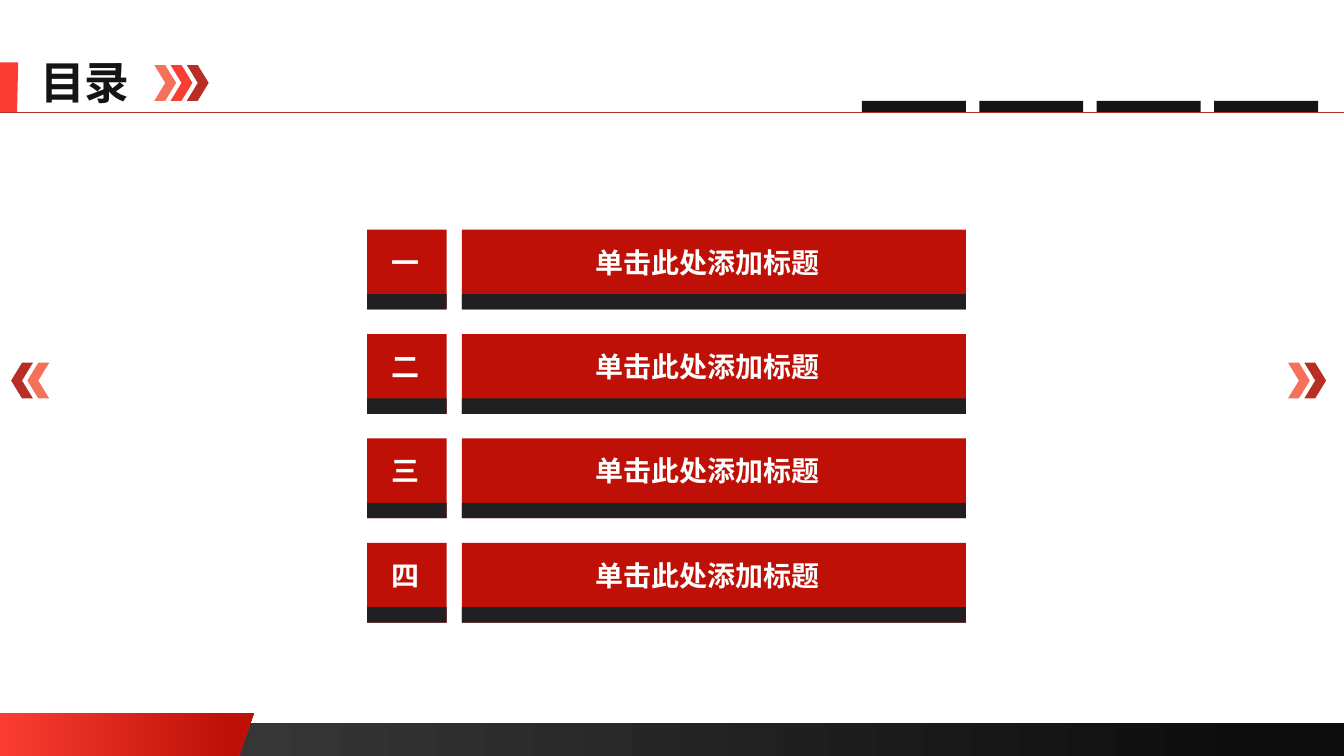
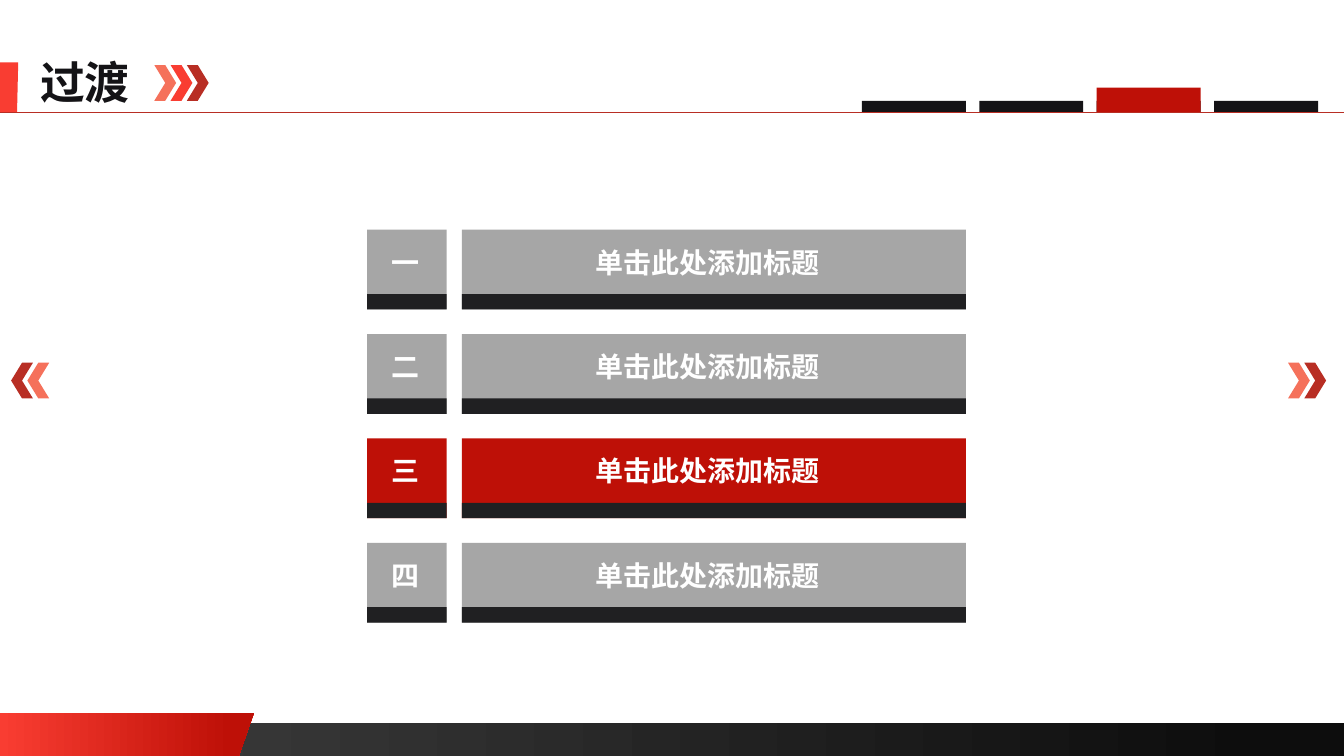
import pptx
import pptx.dml.color
import pptx.enum.shapes
import pptx.enum.text
import pptx.oxml
import pptx.oxml.ns
import pptx.util

Cm = pptx.util.Cm
RGB = pptx.dml.color.RGBColor
SHAPE = pptx.enum.shapes.MSO_SHAPE
ALIGN = pptx.enum.text.PP_ALIGN

ITEMS = [
    ("一", "单击此处添加标题"),
    ("二", "单击此处添加标题"),
    ("三", "单击此处添加标题"),
    ("四", "单击此处添加标题"),
]
# Title and index of the current item (None: all items are lit)
PAGES = [("目录", None), ("过渡", 2)]

FONT = "Noto Sans CJK SC"
WHITE = RGB(0xFF, 0xFF, 0xFF)
INK = RGB(0x14, 0x13, 0x16)
EDGE = RGB(0x20, 0x20, 0x22)
GREY = RGB(0xA6, 0xA6, 0xA6)
RED = RGB(0xBE, 0x10, 0x07)
BRIGHT = RGB(0xF9, 0x3D, 0x32)
CORAL = RGB(0xF5, 0x71, 0x5B)
BRICK = RGB(0xB8, 0x2E, 0x24)
COAL = RGB(0x40, 0x40, 0x40)
BLACK = RGB(0x0D, 0x0D, 0x0D)

WIDE, HIGH = 33.87, 19.05
RULE = 2.82                      # height of the line under the title
TAB_X, TAB_STEP, TAB_W = 21.72, 2.96, 2.62
TAB_H, TAB_TALL = 0.28, 0.61
ROW_Y, ROW_STEP, ROW_H, EDGE_H = 5.79, 2.63, 2.01, 0.39
# Left, width and right inset of the number box and the title bar
COLS = [(9.25, 2.01, 0.08), (11.64, 12.7, 0.33)]
# Left, top, colours and rotation of each row of chevrons
CHEVS = [
    (3.89, 1.64, (CORAL, BRIGHT, BRICK), 0),
    (32.46, 9.14, (CORAL, BRICK), 0),
    (0.28, 9.14, (BRICK, CORAL), 180),
]
CHEV_W, CHEV_H, CHEV_STEP = 0.55, 0.9, 0.41


def write(shape, text, size=20, color=WHITE, align=ALIGN.CENTER,
          inset=(0, 0, 0, 0)):
    """Set bold text; inset is left, top, right, bottom in cm."""
    frame = shape.text_frame
    frame.auto_size = pptx.enum.text.MSO_AUTO_SIZE.NONE
    frame.word_wrap = False
    frame.vertical_anchor = pptx.enum.text.MSO_ANCHOR.MIDDLE
    (frame.margin_left, frame.margin_top,
     frame.margin_right, frame.margin_bottom) = map(Cm, inset)
    para = frame.paragraphs[0]
    para.alignment = align
    run = para.add_run()
    run.text = text
    font = run.font
    font.name, font.size, font.bold = FONT, pptx.util.Pt(size), True
    font.color.rgb = color
    east = pptx.oxml.parse_xml(
        f'<a:ea {pptx.oxml.ns.nsdecls("a")} typeface="{FONT}"/>')
    run.font._element.append(east)


def paint(shape, *colors, end=1):
    """Fill with one colour, or fade from the first to the second at end."""
    shape.shadow.inherit = False
    shape.line.fill.background()
    if len(colors) == 1:
        shape.fill.solid()
        shape.fill.fore_color.rgb = colors[0]
        return shape
    shape.fill.gradient()
    shape.fill.gradient_angle = 0
    for stop, color, place in zip(shape.fill.gradient_stops, colors, (0, end)):
        stop.color.rgb = color
        stop.position = place
    return shape


def block(slide, x, y, w, h, *colors, kind=SHAPE.RECTANGLE, end=1):
    shape = slide.shapes.add_shape(kind, Cm(x), Cm(y), Cm(w), Cm(h))
    return paint(shape, *colors, end=end)


def slant(slide, top, low, wide, foot, *colors, end=1):
    """Draw a band from the left edge with a slanted right side."""
    path = slide.shapes.build_freeform(0, Cm(top))
    path.add_line_segments([(Cm(wide), Cm(top)), (Cm(foot), Cm(low)),
                            (0, Cm(low))])
    return paint(path.convert_to_shape(), *colors, end=end)


def rule(slide):
    line = slide.shapes.add_connector(
        pptx.enum.shapes.MSO_CONNECTOR.STRAIGHT,
        0, Cm(RULE), Cm(WIDE), Cm(RULE))
    line.line.color.rgb = BRICK
    line.line.width = pptx.util.Pt(0.5)
    line.element.spPr.append(pptx.oxml.parse_xml(
        f'<a:effectLst {pptx.oxml.ns.nsdecls("a")}/>'))
    return line


def tab(slide, index, height, color):
    return block(slide, TAB_X + index * TAB_STEP, RULE - height,
                 TAB_W, height, color)


def decor(slide):
    """Draw the parts that all slides share."""
    parts = [
        block(slide, 0, 18.21, WIDE, 0.84, COAL, BLACK, end=0.94),
        slant(slide, 17.96, HIGH, 6.4, 6.02, BRIGHT, RED, end=0.91),
        slant(slide, 1.57, 2.83, 0.46, 0.43, BRIGHT),
        rule(slide),
    ]
    for x, y, colors, turn in CHEVS:
        for i, color in enumerate(colors):
            chev = block(slide, x + i * CHEV_STEP, y, CHEV_W, CHEV_H, color,
                         kind=SHAPE.CHEVRON)
            chev.rotation = turn
            parts.append(chev)
    parts += [tab(slide, i, TAB_H, INK) for i in range(len(ITEMS))]
    return parts


def setup(deck):
    """Prepare the layout's title and return the layout."""
    layout = deck.slide_layouts.get_by_name("Title Only")
    for holder in list(layout.placeholders):
        if holder.placeholder_format.idx:
            holder.element.getparent().remove(holder.element)
    title = layout.placeholders[0]
    title.left, title.top = Cm(0.76), Cm(1.24)
    title.width, title.height = Cm(2.79), Cm(1.63)
    return layout


def agenda(slide, title, current):
    write(slide.shapes.title, title, size=32, color=INK, align=ALIGN.LEFT,
          inset=(0.25, 0, 0.25, 0))
    if current is not None:
        tab(slide, current, TAB_TALL, RED)
    for i, item in enumerate(ITEMS):
        y = ROW_Y + i * ROW_STEP
        color = RED if current in (None, i) else GREY
        for text, (x, w, right) in zip(item, COLS):
            box = block(slide, x, y, w, ROW_H, color)
            write(box, text, inset=(0, 0, right, EDGE_H))
            block(slide, x, y + ROW_H - EDGE_H, w, EDGE_H, EDGE)


def main():
    deck = pptx.Presentation()
    deck.slide_width, deck.slide_height = Cm(WIDE), Cm(HIGH)
    layout = setup(deck)
    slides = [deck.slides.add_slide(layout) for _ in PAGES]
    # Shapes can only be drawn on a slide, so move them to the layout
    for part in decor(slides[0]):
        layout.shapes.element.append(part.element)
    for slide, (title, current) in zip(slides, PAGES):
        agenda(slide, title, current)
    deck.save("out.pptx")


if __name__ == "__main__":
    main()
